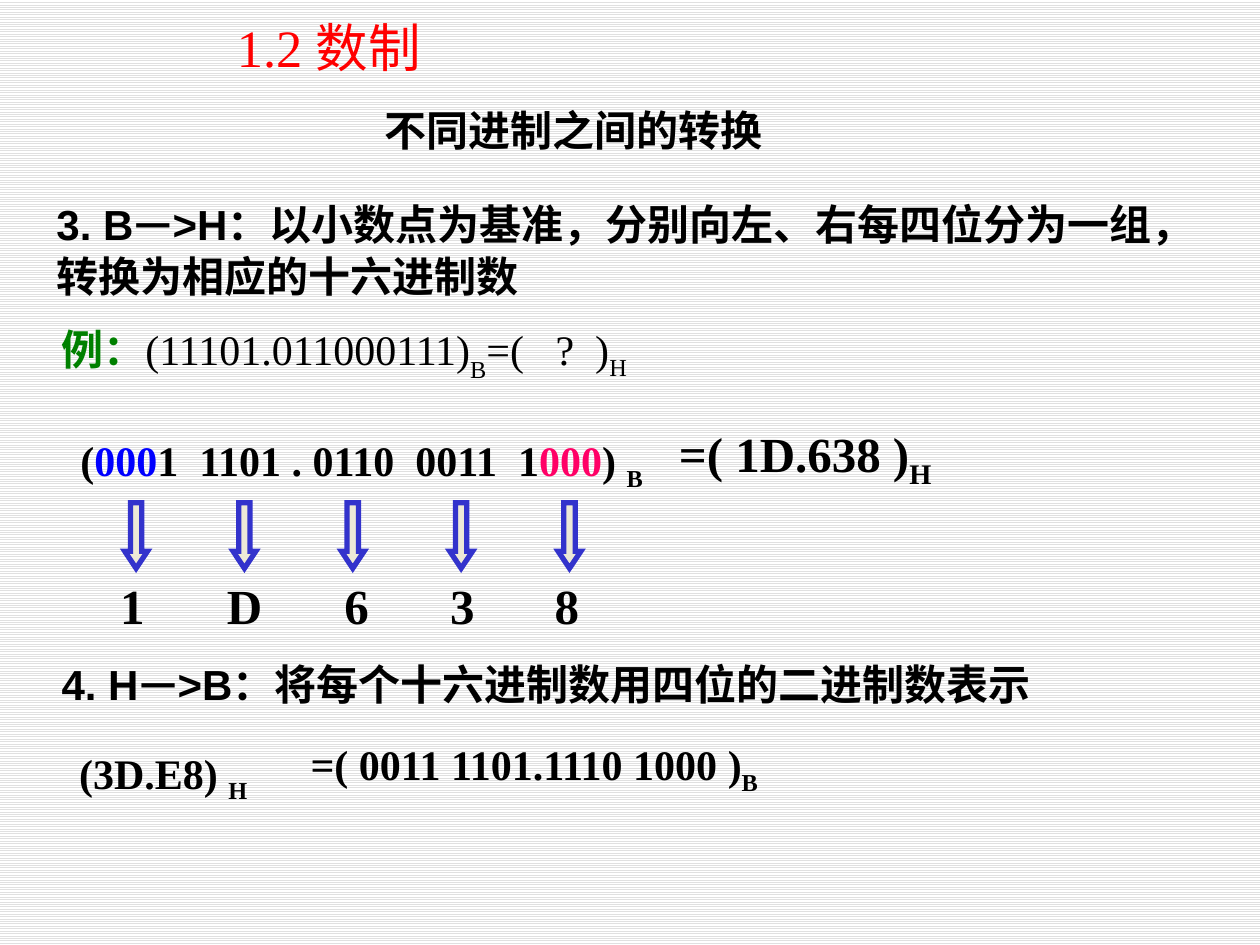
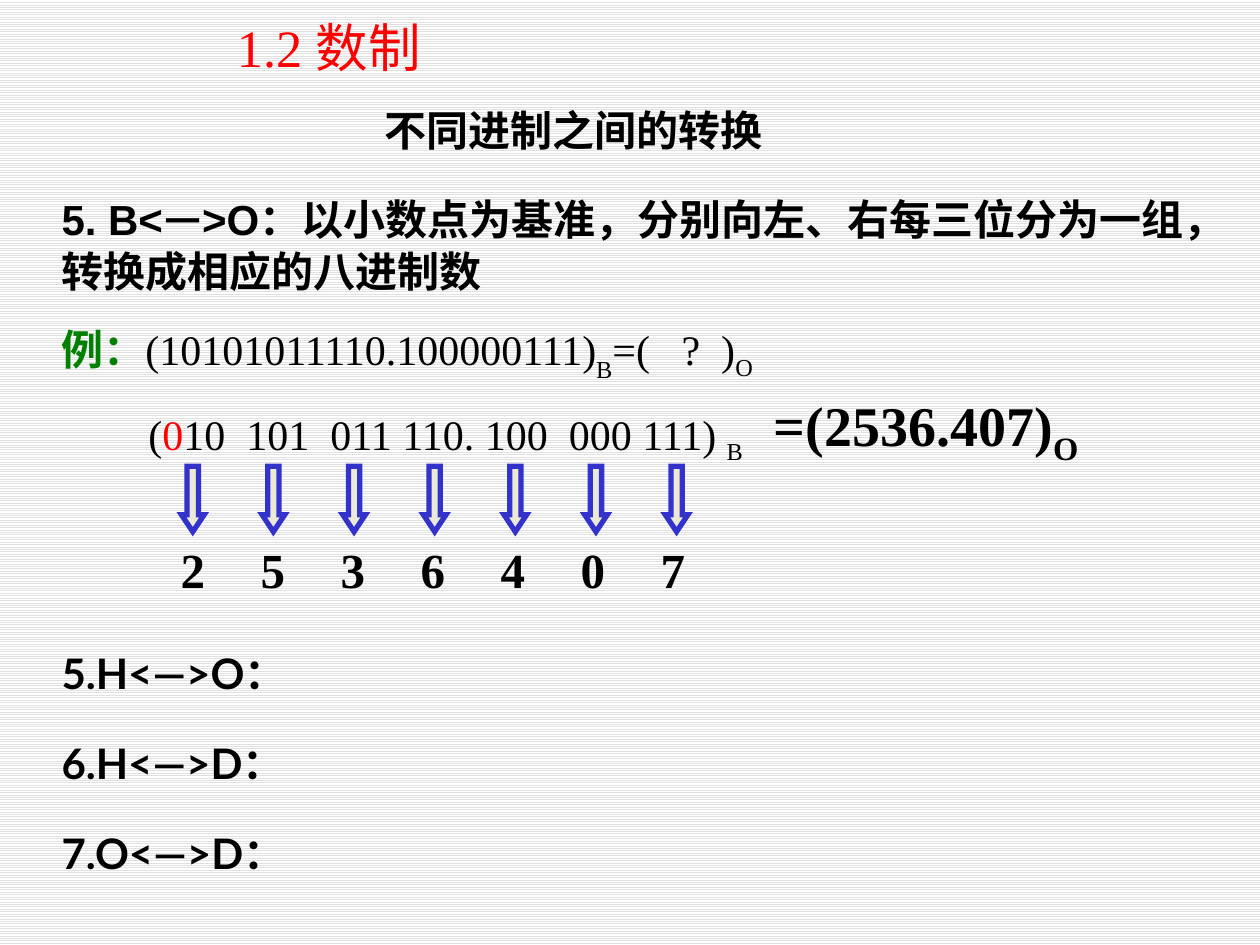
from lxml import etree
from pptx import Presentation
from pptx.dml.color import RGBColor
from pptx.enum import dml, shapes, text
from pptx.oxml import ns
from pptx.util import Inches, Pt

BLACK, RED, GREEN, BLUE, PINK = "000000", "FF0000", "008000", "0000FF", "FF0066"
ARROW_FILL, ARROW_LINE = "EDE9D7", "3333CC"
BG_LINE, BG = "E0E0E0", "FFFFFF"
SERIF, SANS, LATO, CJK = "Times New Roman", "Arial", "Lato", "Noto Sans CJK SC"


def rgb(hex_string):
    return RGBColor.from_string(hex_string)


def add_run(p, wording, size=24, font=SERIF, color=BLACK, bold=False, base=0):
    r = p.add_run()
    r.text = wording
    r.font.size, r.font.name, r.font.bold = Pt(size), font, bold
    r.font.color.rgb = rgb(color)
    rPr = r.font._element
    etree.SubElement(rPr, ns.qn("a:ea")).set("typeface", LATO)
    if base:
        rPr.set("baseline", str(base * 1000))


def fill_text(sp, runs, center=False, wrap=True, **fmt):
    """Each run is a string or a (string, overrides) pair."""
    tf = sp.text_frame
    tf.word_wrap = wrap
    tf.auto_size = text.MSO_AUTO_SIZE.NONE
    tf.margin_left = tf.margin_right = Inches(0.1)
    tf.margin_top = tf.margin_bottom = Inches(0.05)
    tf.vertical_anchor = text.MSO_ANCHOR.MIDDLE if center else text.MSO_ANCHOR.TOP
    p = tf.paragraphs[0]
    p.alignment = text.PP_ALIGN.CENTER if center else text.PP_ALIGN.LEFT
    for item in [runs] if isinstance(runs, str) else runs:
        wording, extra = (item, {}) if isinstance(item, str) else item
        add_run(p, wording, **{**fmt, **extra})


def add_text(s, box, runs, **fmt):
    fill_text(s.shapes.add_textbox(*map(Inches, box)), runs, **fmt)


def sub(wording, base=-25):
    return wording, {"base": base}


def add_result(s, box, runs, **fmt):
    add_text(s, box, runs, center=True, wrap=False, bold=True, **fmt)


# Title and subtitle shared by both slides
def add_slide(prs):
    s = prs.slides.add_slide(prs.slide_layouts[5])
    title = s.shapes.title
    title.left, title.top, title.width, title.height = map(Inches, (1.78, 0.07, 5.71, 0.6))
    fill_text(title, ["1.2 ", ("数制", {"font": "Arial Narrow"})], size=30, color=RED)
    add_text(s, (2.95, 0.78, 3.22, 0.5), "不同进制之间的转换", bold=True, wrap=False)
    return s


def add_rule(s, left, top, height, source, target, rule):
    add_text(s, (left, top, 9.23, height),
             [source, ("—", {"size": 28, "font": LATO}), target, (rule, {"font": CJK})],
             font=SANS, bold=True)


def add_example(s, number, base_name):
    add_text(s, (0.39, 2.52, 6.7, 0.5),
             [("例：", {"color": GREEN, "bold": True}), number, sub("B", -30),
              "=(   ?  )", sub(base_name)])


# Row of arrows with the digit that each group of bits becomes
def add_digit_row(s, top, first_arrow, pitch, digits, centers):
    for i, (digit, center) in enumerate(zip(digits, centers)):
        arrow = s.shapes.add_shape(
            shapes.MSO_SHAPE.DOWN_ARROW, Inches(first_arrow + i * pitch), Inches(top),
            Inches(0.18), Inches(0.52))
        arrow.adjustments[0], arrow.adjustments[1] = 0.5, 0.75
        arrow.shadow.inherit = False
        arrow.fill.solid()
        arrow.fill.fore_color.rgb = rgb(ARROW_FILL)
        arrow.line.color.rgb = rgb(ARROW_LINE)
        arrow.line.width = Pt(3)
        miter = etree.SubElement(arrow.line._get_or_add_ln(), ns.qn("a:miter"))
        miter.set("lim", "800000")
        add_result(s, (center - 0.2, top + 0.53, 0.4, 0.57), digit, size=28)


def build_hex_slide(prs):
    s = add_slide(prs)
    add_rule(s, 0.35, 1.47, 0.97, "3. B", ">H：",
             "以小数点为基准，分别向左、右每四位分为一组，转换为相应的十六进制数")
    add_example(s, "(11101.011000111)", "H")
    add_text(s, (0.54, 3.4, 7.25, 0.5),
             ["(", ("000", {"color": BLUE}), "1  1101 . 0110  0011  1",
              ("000", {"color": PINK}), ") ", sub("B")], bold=True)
    add_result(s, (5.27, 3.34, 2.24, 0.57), ["=( 1D.638 )", sub("H")], size=28)
    add_digit_row(s, 3.99, 0.99, 0.86, "1D638", (1.05, 1.94, 2.83, 3.67, 4.5))

    # Hexadecimal back to binary
    add_rule(s, 0.39, 5.12, 0.57, "4. H", ">B：", "将每个十六进制数用四位的二进制数表示")
    add_text(s, (0.53, 5.88, 1.77, 0.5), ["(3D.E8) ", sub("H")], bold=True)
    add_result(s, (2.32, 5.84, 3.84, 0.5), ["=( 0011 1101.1110 1000 )", sub("B")])


def build_octal_slide(prs):
    s = add_slide(prs)
    add_rule(s, 0.39, 1.43, 0.97, "5. B<", ">O：",
             "以小数点为基准，分别向左、右每三位分为一组，转换成相应的八进制数")
    add_example(s, "(10101011110.100000111)", "O")
    add_text(s, (1.08, 3.19, 5.61, 0.5),
             ["(", ("0", {"color": RED}), "10  101  011 110. 100  000 111) ", sub("B")])
    add_result(s, (6.03, 3.09, 2.64, 0.63), ["=(2536.407)", sub("O")], size=32)
    digits = "2536407"
    add_digit_row(s, 3.7, 1.44, 0.64, digits,
                  [1.53 + 0.635 * i for i in range(len(digits))])

    # Remaining conversions
    for i, pair in enumerate(("5.H<—>O：", "6.H<—>D：", "7.O<—>D：")):
        add_text(s, (0.39, 5.09 + 0.715 * i, 2.49, 0.5), pair, font=LATO, bold=True)


def main():
    prs = Presentation()
    prs.slide_width, prs.slide_height = Inches(10), Inches(7.5)
    fill = prs.slide_master.background.fill
    fill.patterned()
    fill.pattern = dml.MSO_PATTERN.LIGHT_HORIZONTAL
    fill.fore_color.rgb, fill.back_color.rgb = rgb(BG_LINE), rgb(BG)
    build_hex_slide(prs)
    build_octal_slide(prs)
    prs.save("out.pptx")


if __name__ == "__main__":
    main()
